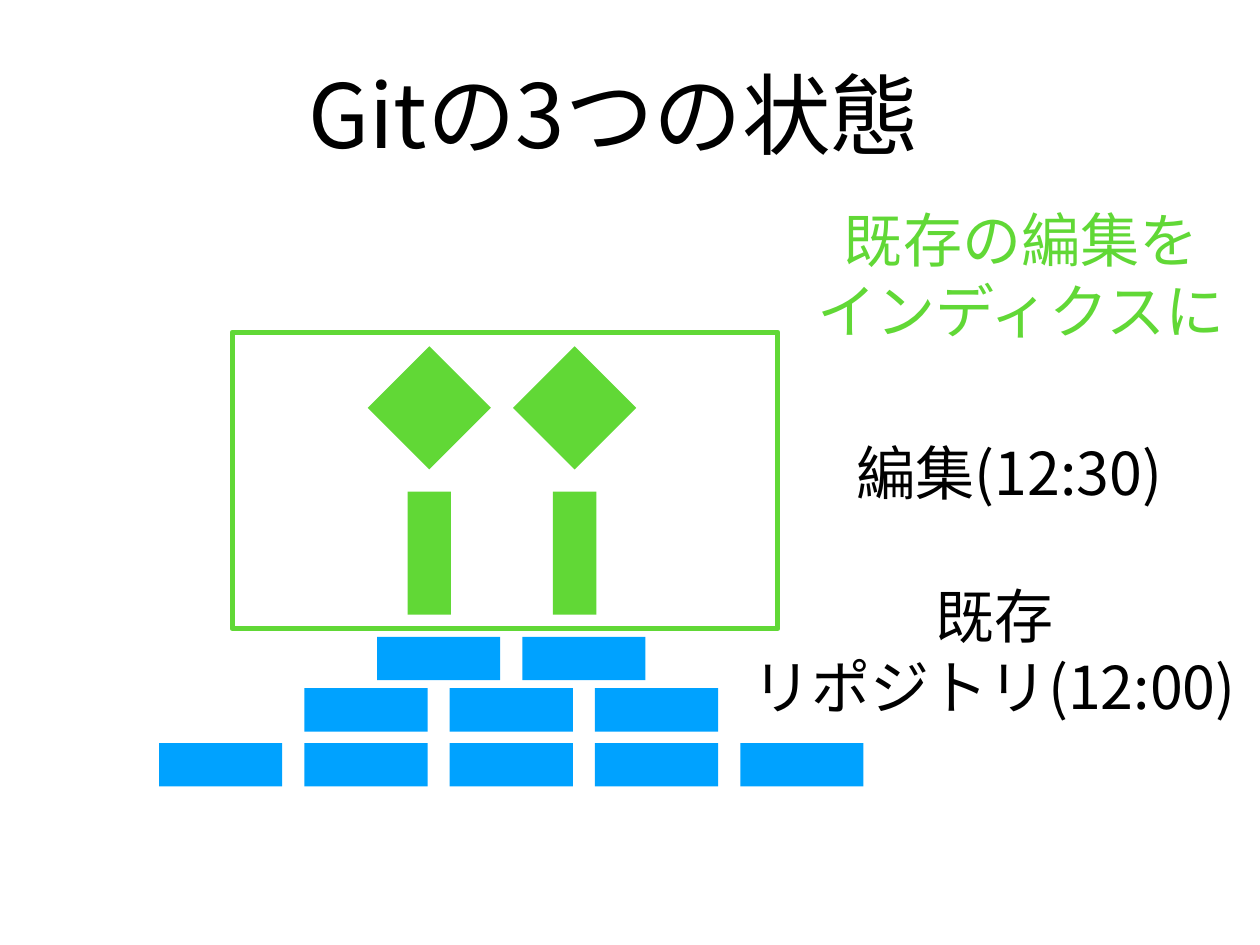
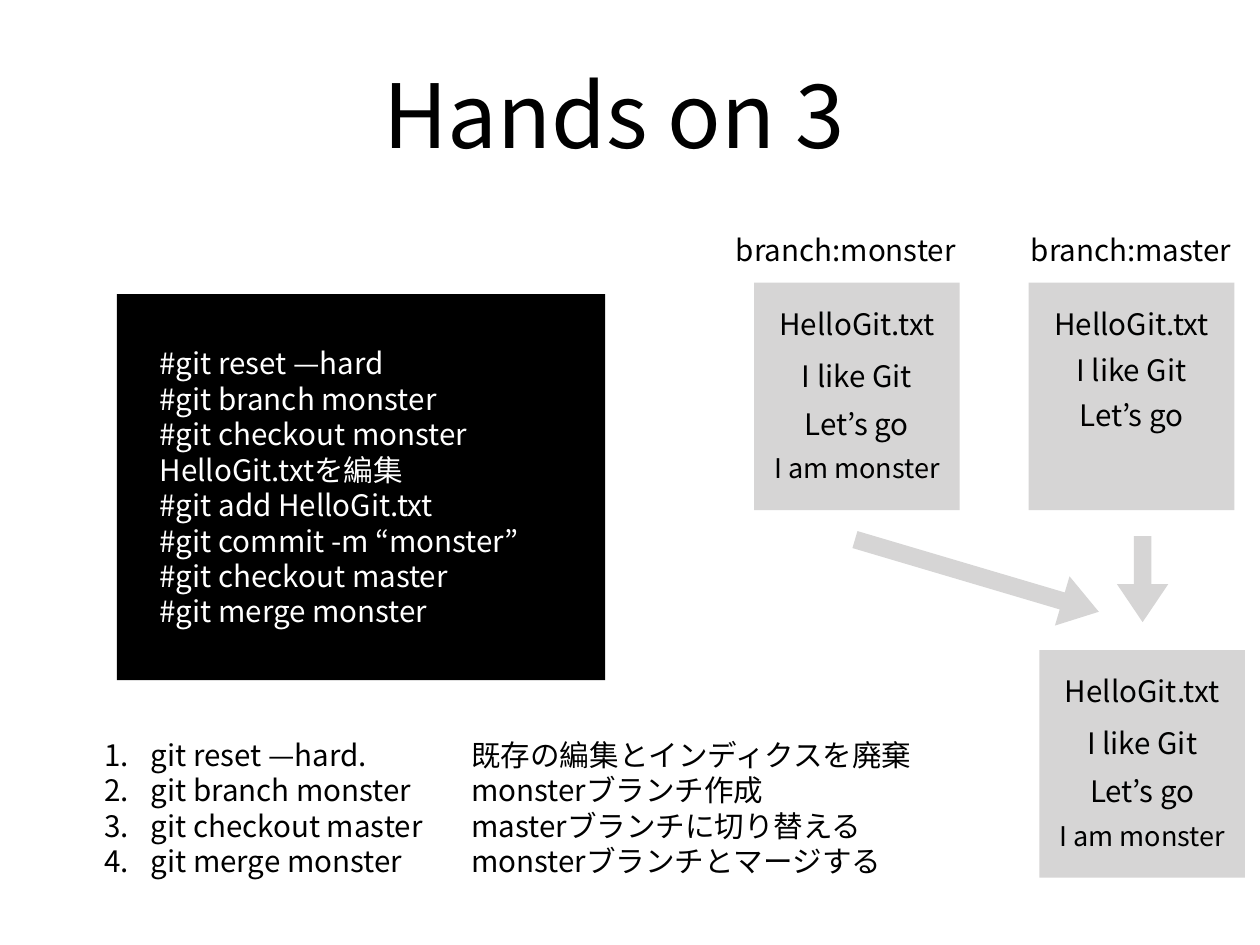
from dataclasses import dataclass

from lxml import etree
from pptx import Presentation
from pptx.dml.color import RGBColor
from pptx.enum.shapes import MSO_SHAPE
from pptx.enum.text import MSO_ANCHOR, MSO_AUTO_SIZE, PP_ALIGN
from pptx.oxml.ns import qn
from pptx.util import Inches, Pt

RECTANGLE, DIAMOND, ARROW = MSO_SHAPE.RECTANGLE, MSO_SHAPE.DIAMOND, MSO_SHAPE.RIGHT_ARROW
LEFT, CENTER = PP_ALIGN.LEFT, PP_ALIGN.CENTER
MIDDLE, BOTTOM = MSO_ANCHOR.MIDDLE, MSO_ANCHOR.BOTTOM
FIT_SHAPE, NO_FIT = MSO_AUTO_SIZE.SHAPE_TO_FIT_TEXT, MSO_AUTO_SIZE.NONE


@dataclass(frozen=True)
class Theme:
    font: str = "Noto Sans CJK JP"
    black: str = "000000"
    white: str = "FFFFFF"
    green: str = "61D836"
    blue: str = "00A2FF"
    gray: str = "D6D5D5"
    title: int = 72
    label: int = 48
    body: int = 24
    small: int = 22
    leading: float = 1.2
    inset: float = 0.06


THEME = Theme()
SLIDE_SIZE = (14.22, 10.67)
TITLE_BOX = (1.21, 0.58, 11.44, 1.36)

STATES_TITLE = "Gitの3つの状態"
STATE_LABELS = [
    (["既存", "リポジトリ(12:00)"], (8.18, 6.45, 6.08, 1.78), THEME.black),
    (["既存の編集を", "インディクスに"], (9.14, 2.21, 4.77, 1.78), THEME.green),
    (["編集(12:30)"], (9.35, 4.94, 4.08, 0.78), THEME.black),
]
INDEX_FRAME = (2.62, 3.75, 6.16, 3.35)
BRICK_LONG, BRICK_SHORT, BRICK_PITCH = 1.39, 0.49, 1.64
WALL_CENTER = 5.77
WALL_ROWS = [(7.19, 2), (7.77, 3), (8.39, 5)]
EDIT_LEFT, EDIT_COUNT, DIAMOND_TOP, POST_TOP = 4.15, 2, 3.91, 5.55

HANDS_ON_TITLE = "Hands on 3"
TERMINAL_BOX = (1.32, 3.32, 5.51, 4.36)
TERMINAL_TEXT_BOX = (1.74, 3.53, 4.91, 3.94)
TERMINAL_LINES = [
    "#git reset —hard",
    "#git branch monster",
    "#git checkout monster",
    "HelloGit.txtを編集",
    "#git add HelloGit.txt",
    "#git commit -m “monster”",
    "#git checkout master",
    "#git merge monster",
]
STEPS_BOX = (1.12, 8.15, 10.73, 1.94)
STEP_INDENT, STEP_TAB = 0.52, 4.14
STEPS = [
    ("git reset —hard.", "既存の編集とインディクスを廃棄"),
    ("git branch monster", "monsterブランチ作成"),
    ("git checkout master", "masterブランチに切り替える"),
    ("git merge monster", "monsterブランチとマージする"),
]
CARD_WIDTH, CARD_HEIGHT = 2.32, 2.57
FILE_LINES = [
    ("HelloGit.txt", 2.1, 0.44, THEME.body),
    ("I like Git", 1.55, 0.44, THEME.body),
    ("Let’s go", 1.55, 0.44, THEME.body),
    ("I am monster", 2.3, 0.42, THEME.small),
]
MONSTER_OFFSETS = [0.24, 0.83, 1.37, 1.88]
MASTER_OFFSETS = [0.24, 0.77, 1.27]
FILE_CARDS = [
    (8.51, 3.19, MONSTER_OFFSETS),
    (11.61, 3.19, MASTER_OFFSETS),
    (11.73, 7.34, MONSTER_OFFSETS),
]
BRANCH_LABELS = [
    ("branch:monster", (8.05, 2.6, 2.99, 0.44)),
    ("branch:master", (11.39, 2.6, 2.75, 0.44)),
]
MERGE_ARROWS = [((9.59, 6.21, 2.87, 0.58), 16.5), ((12.41, 6.25, 0.97, 0.58), 90)]
ARROW_ADJUSTMENTS = (0.345, 0.742)


def inches(box):
    return [Inches(length) for length in box]


def add_block(slide, kind, box, fill=None, line=None):
    shape = slide.shapes.add_shape(kind, *inches(box))
    shape.shadow.inherit = False
    if fill:
        shape.fill.solid()
        shape.fill.fore_color.rgb = RGBColor.from_string(fill)
    else:
        shape.fill.background()
    if line:
        shape.line.color.rgb = RGBColor.from_string(line)
        shape.line.width = Pt(4)
    else:
        shape.line.fill.background()
    return shape


def number_paragraph(paragraph):
    properties = paragraph._p.get_or_add_pPr()
    properties.set("marL", str(Inches(STEP_INDENT)))
    properties.set("indent", str(-Inches(STEP_INDENT)))
    etree.SubElement(properties, qn("a:buAutoNum"), type="arabicPeriod")
    tabs = etree.SubElement(properties, qn("a:tabLst"))
    etree.SubElement(tabs, qn("a:tab"), pos=str(Inches(STEP_TAB)), algn="l")


def add_text(slide, lines, box, size=THEME.body, color=THEME.black, align=CENTER,
             anchor=MIDDLE, fit=True, numbered=False):
    frame = slide.shapes.add_textbox(*inches(box)).text_frame
    frame.word_wrap = not fit
    frame.auto_size = FIT_SHAPE if fit else NO_FIT
    frame.vertical_anchor = anchor
    frame.margin_left = frame.margin_right = Inches(THEME.inset)
    frame.margin_top = frame.margin_bottom = Inches(THEME.inset)
    frame.text = "\n".join(lines)
    for paragraph in frame.paragraphs:
        if numbered:
            number_paragraph(paragraph)
        paragraph.alignment = align
        if len(lines) > 1:
            paragraph.line_spacing = Pt(size * THEME.leading)
        font = paragraph.font
        font.size = Pt(size)
        font.color.rgb = RGBColor.from_string(color)
        font.name = THEME.font
        defaults = paragraph._p.pPr.find(qn("a:defRPr"))
        etree.SubElement(defaults, qn("a:ea"), typeface=THEME.font)


def add_titled_slide(presentation, title):
    slide = presentation.slides.add_slide(presentation.slide_layouts[6])
    add_text(slide, [title], TITLE_BOX, THEME.title, anchor=BOTTOM, fit=False)
    return slide


def build_states(presentation):
    slide = add_titled_slide(presentation, STATES_TITLE)
    add_block(slide, RECTANGLE, INDEX_FRAME, line=THEME.green)
    for top, count in WALL_ROWS:
        row_left = WALL_CENTER - ((count - 1) * BRICK_PITCH + BRICK_LONG) / 2
        for column in range(count):
            box = (row_left + column * BRICK_PITCH, top, BRICK_LONG, BRICK_SHORT)
            add_block(slide, RECTANGLE, box, THEME.blue)
    for column in range(EDIT_COUNT):
        left = EDIT_LEFT + column * BRICK_PITCH
        post_left = left + (BRICK_LONG - BRICK_SHORT) / 2
        add_block(slide, DIAMOND, (left, DIAMOND_TOP, BRICK_LONG, BRICK_LONG), THEME.green)
        add_block(slide, RECTANGLE, (post_left, POST_TOP, BRICK_SHORT, BRICK_LONG), THEME.green)
    for lines, box, color in STATE_LABELS:
        add_text(slide, lines, box, THEME.label, color)


def add_file_card(slide, left, top, offsets):
    add_block(slide, RECTANGLE, (left, top, CARD_WIDTH, CARD_HEIGHT), THEME.gray)
    for (text, width, height, size), offset in zip(FILE_LINES, offsets):
        box = (left + (CARD_WIDTH - width) / 2, top + offset, width, height)
        add_text(slide, [text], box, size)


def build_hands_on(presentation):
    slide = add_titled_slide(presentation, HANDS_ON_TITLE)
    add_block(slide, RECTANGLE, TERMINAL_BOX, THEME.black)
    add_text(slide, TERMINAL_LINES, TERMINAL_TEXT_BOX, color=THEME.white, align=LEFT)
    for card in FILE_CARDS:
        add_file_card(slide, *card)
    for text, box in BRANCH_LABELS:
        add_text(slide, [text], box)
    steps = ["\t".join(step) for step in STEPS]
    add_text(slide, steps, STEPS_BOX, align=LEFT, numbered=True)
    for box, rotation in MERGE_ARROWS:
        arrow = add_block(slide, ARROW, box, THEME.gray)
        arrow.rotation = rotation
        for index, value in enumerate(ARROW_ADJUSTMENTS):
            arrow.adjustments[index] = value


def main():
    presentation = Presentation()
    presentation.slide_width, presentation.slide_height = inches(SLIDE_SIZE)
    build_states(presentation)
    build_hands_on(presentation)
    presentation.save("out.pptx")


if __name__ == "__main__":
    main()
